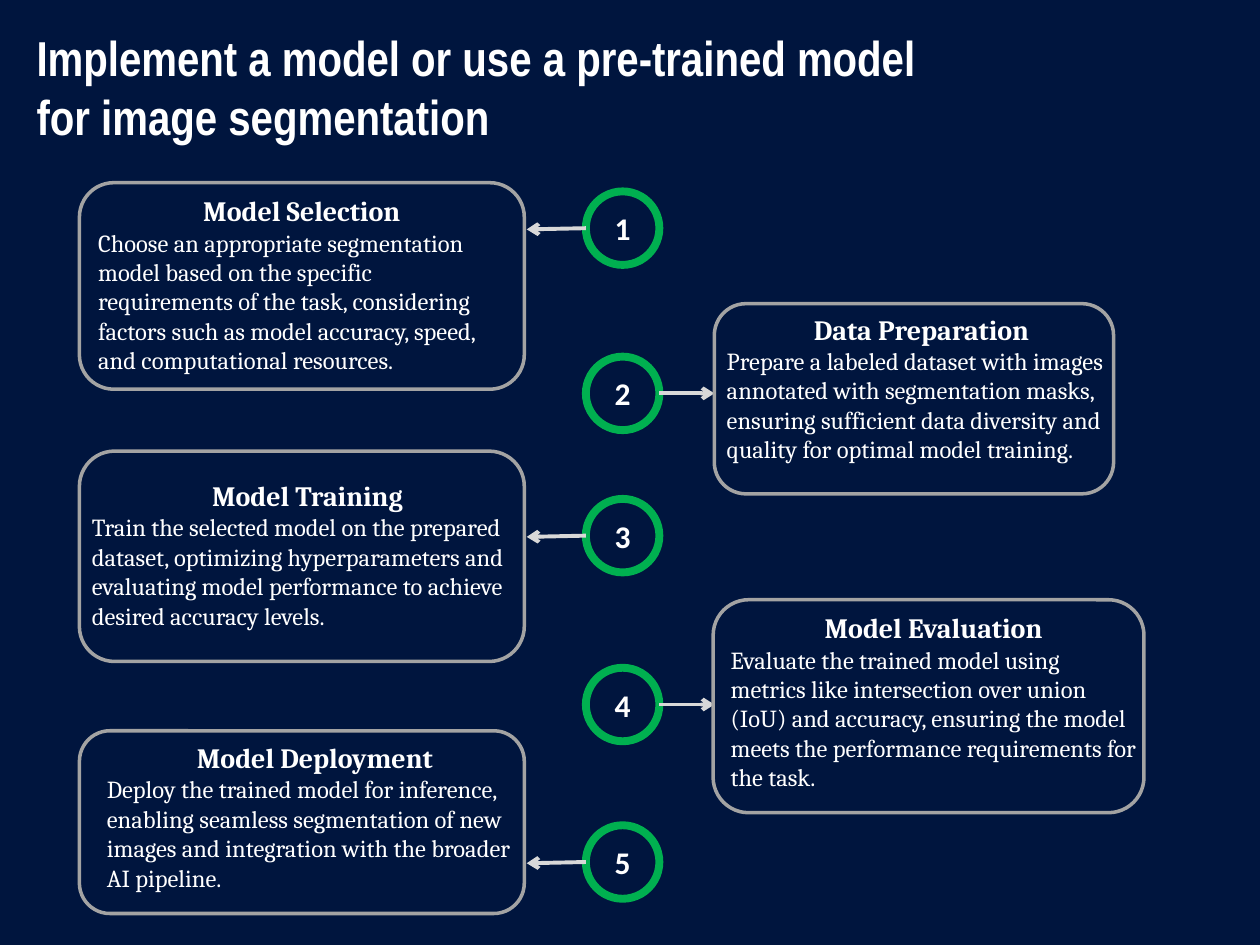
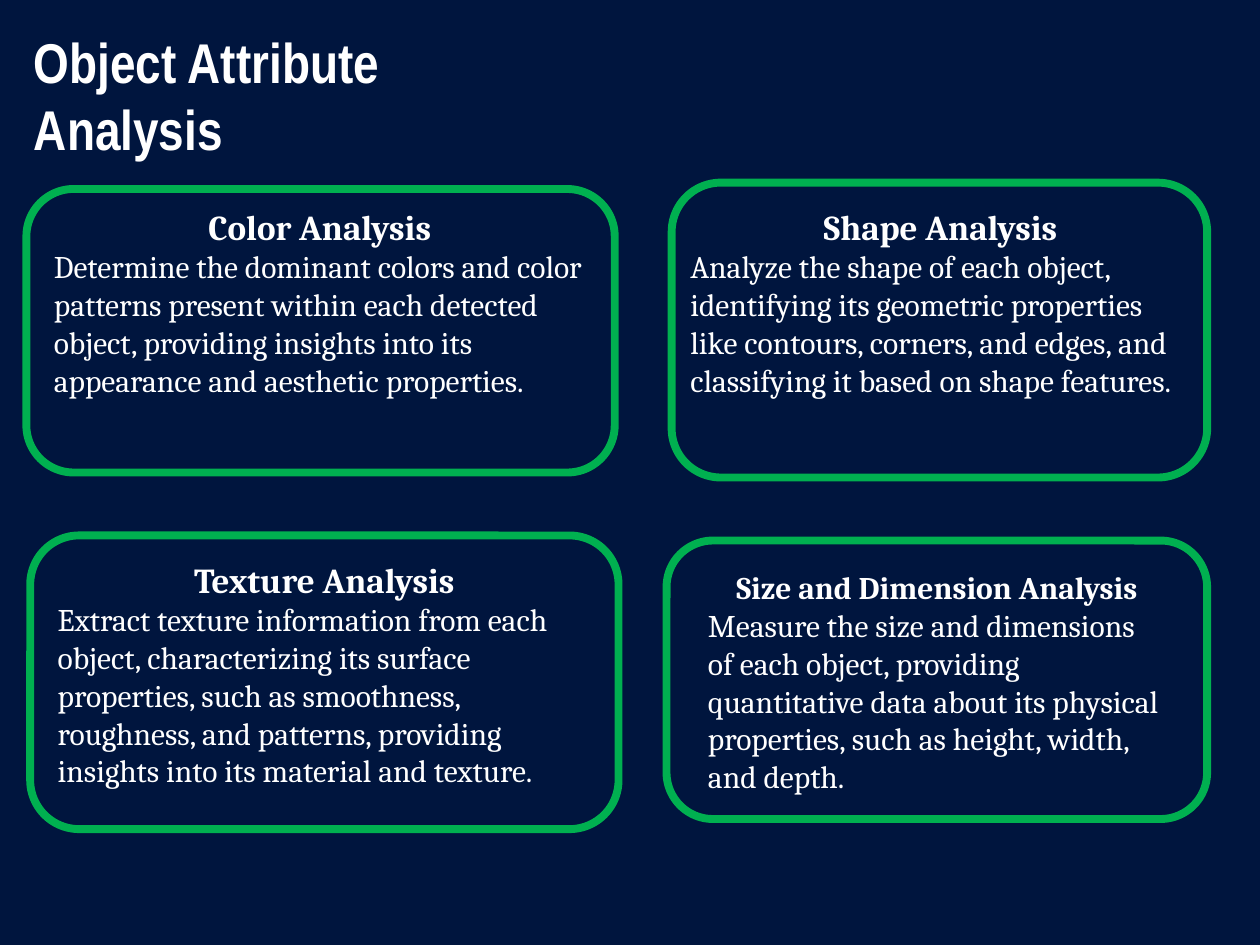
from lxml import etree
from pptx import Presentation
from pptx.dml.color import RGBColor
from pptx.enum import shapes, text
from pptx.oxml import ns
from pptx.util import Pt

NAVY = RGBColor(0x00, 0x15, 0x3E)
GREEN = RGBColor(0x00, 0xB0, 0x50)
GREY = RGBColor(0xA3, 0xA3, 0xA3)
PALE = RGBColor(0xD8, 0xD8, 0xD8)
WHITE = RGBColor(0xFF, 0xFF, 0xFF)

RING = 42
RING_X = 334.8
LEFT_TIP = 301
RIGHT_TIP = 408.2

# Each card: frame box, text box with its offset from the frame, head size, head, body.
STEPS = [
    (109.4, (45.4, 104.4, 254.2, 118), (3.6, 2.9, 247, 128.2), 16, "Model Selection",
     "Choose an appropriate segmentation model based on the specific requirements of the task, "
     "considering factors such as model accuracy, speed, and computational resources."),
    (203.8, (408.2, 173.5, 228.2, 108.7), (0, 1.4, 236.9, 111.6), 16, "Data Preparation",
     "Prepare a labeled dataset with images annotated with segmentation masks, "
     "ensuring sufficient data diversity and quality for optimal model training."),
    (285.1, (45.4, 257.8, 254.2, 120.2), (0, 12.2, 260.6, 111.6), 16, "Model Training",
     "Train the selected model on the prepared dataset, optimizing hyperparameters and "
     "evaluating model performance to achieve desired accuracy levels."),
    (381.6, (407.5, 342.7, 246.2, 121.7), (2.9, 2.9, 246.2, 128.2), 16, "Model Evaluation",
     "Evaluate the trained model using metrics like intersection over union (IoU) and accuracy, "
     "ensuring the model meets the performance requirements for the task."),
    (471.6, (45.4, 417.6, 254.2, 104.4), (8.6, 2.2, 252, 111.6), 16, "Model Deployment",
     "Deploy the trained model for inference, enabling seamless segmentation of new images "
     "and integration with the broader AI pipeline."),
]

TRAITS = [
    ((15.1, 108, 336.2, 162), (8.6, 5.8, 318.2, 162.7), 20, "Color Analysis",
     "Determine the dominant colors and color patterns present within each detected object, "
     "providing insights into its appearance and aesthetic properties."),
    ((383.8, 104.4, 306, 168.5), (3.6, 9.4, 300.2, 140.4), 20, "Shape Analysis",
     "Analyze the shape of each object, identifying its geometric properties like contours, "
     "corners, and edges, and classifying it based on shape features."),
    ((17.3, 306, 336.2, 167.8), (8.6, 9.4, 319, 140.4), 20, "Texture Analysis",
     "Extract texture information from each object, characterizing its surface properties, "
     "such as smoothness, roughness, and patterns, providing insights into its material and texture."),
    ((380.9, 308.9, 308.9, 159.1), (16.6, 12.2, 275.8, 138.2), 18, "Size and Dimension Analysis",
     "Measure the size and dimensions of each object, providing quantitative data about its "
     "physical properties, such as height, width, and depth."),
]


def style(para, font, size, bold, align=text.PP_ALIGN.LEFT):
    para.alignment = align
    for run in para.runs:
        run.font.name = font
        run.font.size = Pt(size)
        run.font.bold = bold
        run.font.color.rgb = WHITE


def add_title(slide, box, words, size):
    title = slide.shapes.title
    title.left, title.top, title.width, title.height = map(Pt, box)
    frame = title.text_frame
    frame.text = words
    frame.word_wrap = True
    frame.auto_size = text.MSO_AUTO_SIZE.NONE
    frame.vertical_anchor = text.MSO_ANCHOR.TOP
    style(frame.paragraphs[0], "Arial Narrow", size, True)


def add_shape(slide, kind, box, color, width):
    shape = slide.shapes.add_shape(kind, *map(Pt, box))
    shape.shadow.inherit = False
    shape.fill.solid()
    shape.fill.fore_color.rgb = NAVY
    shape.line.color.rgb = color
    shape.line.width = Pt(width)
    return shape


def add_card(slide, box, inner, color, width, head, head_size, body, body_size):
    add_shape(slide, shapes.MSO_SHAPE.ROUNDED_RECTANGLE, box, color, width)
    left, top = box[:2]
    dx, dy, wide, high = inner
    area = slide.shapes.add_textbox(Pt(left + dx), Pt(top + dy), Pt(wide), Pt(high))
    frame = area.text_frame
    frame.word_wrap = True
    frame.text = head
    style(frame.paragraphs[0], "Cambria", head_size, True, text.PP_ALIGN.CENTER)
    para = frame.add_paragraph()
    para.text = body
    style(para, "Cambria", body_size, False)


def add_ring(slide, top, number):
    ring = add_shape(slide, shapes.MSO_SHAPE.OVAL, (RING_X, top, RING, RING), GREEN, 4.5)
    frame = ring.text_frame
    frame.word_wrap = False
    frame.vertical_anchor = text.MSO_ANCHOR.MIDDLE
    frame.text = str(number)
    style(frame.paragraphs[0], "Calibri", 18, True, text.PP_ALIGN.CENTER)


def add_arrow(slide, top, to_left):
    mid = top + RING / 2
    start, end = (RING_X, LEFT_TIP) if to_left else (RING_X + RING, RIGHT_TIP)
    arrow = slide.shapes.add_connector(
        shapes.MSO_CONNECTOR.STRAIGHT, Pt(start), Pt(mid), Pt(end), Pt(mid + 0.7 * to_left))
    arrow.line.color.rgb = PALE
    arrow.line.width = Pt(2.25)
    etree.SubElement(arrow.line._get_or_add_ln(), ns.qn("a:tailEnd"), type="arrow")
    etree.SubElement(arrow._element.spPr, ns.qn("a:effectLst"))


def build_steps(slide):
    add_title(slide, (13.7, 12.2, 540, 75),
              "Implement a model or use a pre-trained model for image segmentation", 28)
    for index, (top, box, inner, size, head, body) in enumerate(STEPS):
        add_ring(slide, top, index + 1)
        add_arrow(slide, top, index % 2 == 0)
        add_card(slide, box, inner, GREY, 2, head, size, body, 14)


def build_traits(slide):
    add_title(slide, (12.2, 12.2, 287.3, 84), "Object Attribute Analysis", 32)
    for box, inner, size, head, body in TRAITS:
        add_card(slide, box, inner, GREEN, 4.5, head, size, body, 18)


def main():
    deck = Presentation()
    deck.slide_width, deck.slide_height = Pt(720), Pt(540)
    fill = deck.slide_master.background.fill
    fill.solid()
    fill.fore_color.rgb = NAVY
    for build in (build_steps, build_traits):
        build(deck.slides.add_slide(deck.slide_layouts.get_by_name("Title Only")))
    deck.save("out.pptx")


if __name__ == "__main__":
    main()
